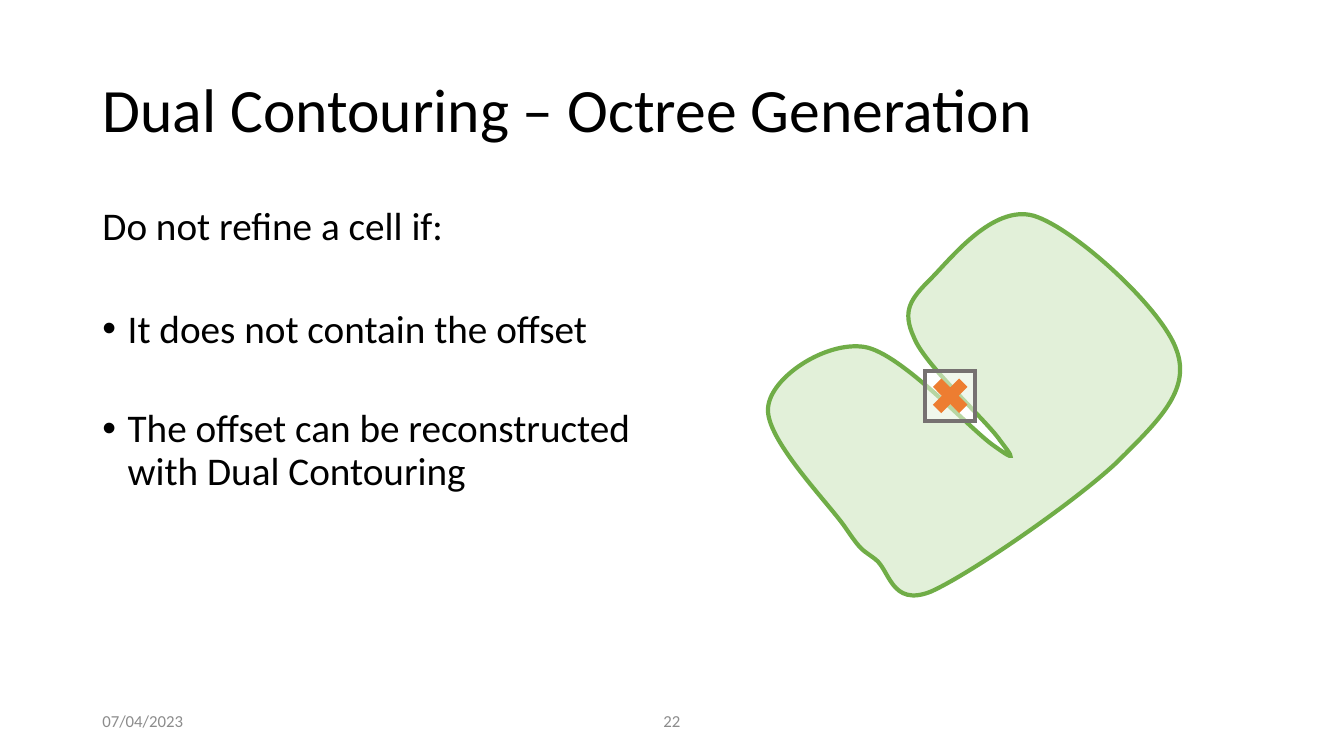
import math

import pptx
import pptx.util
import pptx.dml.color
import pptx.enum.text
import pptx.enum.shapes
import pptx.oxml.ns
import lxml.etree

PX = 9525
Pt = pptx.util.Pt
TEXT = pptx.enum.text
SHAPE = pptx.enum.shapes.MSO_SHAPE
COLORS = {"ink": "000000", "muted": "8C8C8C", "leaf": "70AD47", "pale": "E2F0D9",
          "white": "FFFFFF", "gray": "767171", "mark": "ED7D31"}
TURN = 322.2
START = (-130, 123)
CURVES = [
    ((-147, 99), (-206, 39), (-203, 10)),
    ((-201, -19), (-148, -54), (-111, -48)),
    ((-76, -42), (-10, 31), (12, 46)),
    ((33, 61), (31, 58), (18, 41)),
    ((6, 23), (-54, -31), (-64, -57)),
    ((-76, -83), (-67, -94), (-48, -113)),
    ((-29, -132), (11, -184), (50, -173)),
    ((89, -161), (173, -84), (186, -45)),
    ((200, -7), (169, 22), (130, 61)),
    ((90, 99), (-10, 168), (-48, 185)),
    ((-86, 200), (-87, 164), (-101, 154)),
    ((-114, 144), (-113, 148), START),
]


def color(name):
    """Return the named colour."""
    return pptx.dml.color.RGBColor.from_string(COLORS[name])


def apply(item, values):
    """Set each attribute in values on item."""
    for name, value in values.items():
        setattr(item, name, value)


def place(shape, box):
    """Move shape to a box given in px."""
    names = ("left", "top", "width", "height")
    apply(shape, {name: size * PX for name, size in zip(names, box)})


def add(parent, tag, **values):
    """Append a drawing element to parent."""
    node = lxml.etree.SubElement(parent, pptx.oxml.ns.qn(tag))
    for name, value in values.items():
        node.set(name, str(value))
    return node


def write(shape, lines, size, tint="ink", anchor="MIDDLE", **form):
    """Fill the frame of shape with one paragraph per line."""
    frame = shape.text_frame
    apply(frame, {"word_wrap": True, "auto_size": TEXT.MSO_AUTO_SIZE.NONE,
                  "vertical_anchor": getattr(TEXT.MSO_ANCHOR, anchor)})
    frame.text = "\n".join(lines)
    for para in frame.paragraphs:
        apply(para, {"alignment": TEXT.PP_ALIGN.LEFT, "space_before": Pt(0), **form})
        for run in para.runs:
            apply(run.font, {"name": "Calibri", "size": Pt(size)})
            run.font.color.rgb = color(tint)
    return frame.paragraphs


def paint(shape, fill, edge=None, alpha=None):
    """Give shape its fill and outline."""
    shape.shadow.inherit = False
    shape.fill.solid()
    shape.fill.fore_color.rgb = color(fill)
    if alpha:
        tint = shape.fill._xPr.find(".//" + pptx.oxml.ns.qn("a:srgbClr"))
        add(tint, "a:alpha", val=alpha * 1000)
    if edge:
        shape.line.color.rgb = color(edge)
        shape.line.width = Pt(3)
        add(shape.line._ln, "a:miter", lim=800000)
    else:
        shape.line.fill.background()


def head(slide, box):
    """Write the slide title."""
    place(slide.shapes.title, box)
    write(slide.shapes.title, ["Dual Contouring – Octree Generation"], 44, line_spacing=0.9)


def rules(slide, box):
    """Write the lead line and its bullet list."""
    body = slide.placeholders[1]
    place(body, box)
    lines = ["Do not refine a cell if:", "It does not contain the offset",
             "The offset can be reconstructed with Dual Contouring"]
    paras = write(body, lines, 28, anchor="TOP", line_spacing=0.9)
    for para, gap in zip(paras, (0, 43, 41)):
        props = para._p.get_or_add_pPr()
        dent = 24 * PX if gap else 0
        props.set("marL", str(dent))
        props.set("indent", str(-dent))
        para.space_before = Pt(gap)
        if gap:
            add(props, "a:buFont", typeface="Arial")
            add(props, "a:buChar", char="•")
        else:
            add(props, "a:buNone")


def spin(point, box):
    """Return a point of the upright figure in the turned frame."""
    x, y = point
    angle = math.radians(-TURN)
    across = x * math.cos(angle) - y * math.sin(angle)
    down = x * math.sin(angle) + y * math.cos(angle)
    return round((across + box[2] / 2) * PX), round((down + box[3] / 2) * PX)


def region(slide, box):
    """Draw the curved offset region."""
    ends = [spin(curve[-1], box) for curve in CURVES]
    pen = slide.shapes.build_freeform(*spin(START, box), scale=1.0)
    pen.add_line_segments(ends, close=True)
    shape = pen.convert_to_shape()
    place(shape, box)
    shape.rotation = TURN
    trail = shape._element.find(".//" + pptx.oxml.ns.qn("a:path"))
    for node in list(trail):
        trail.remove(node)
    trail.set("w", str(box[2] * PX))
    trail.set("h", str(box[3] * PX))
    steps = [("a:moveTo", [START])] + [("a:cubicBezTo", curve) for curve in CURVES]
    for tag, points in steps:
        node = add(trail, tag)
        for point in points:
            x, y = spin(point, box)
            add(node, "a:pt", x=x, y=y)
    add(trail, "a:close")
    paint(shape, "pale", "leaf")


def figure(slide, box):
    """Draw the offset region with one marked cell."""
    region(slide, box)
    left, top = box[:2]
    cell = [side * PX for side in (left + 126, top + 104, 48, 48)]
    paint(slide.shapes.add_shape(SHAPE.RECTANGLE, *cell), "white", "gray", 50)
    paint(slide.shapes.add_shape(SHAPE.MATH_MULTIPLY, *cell), "mark")


def foot(slide, box):
    """Write the date and the slide number."""
    left, top, width, height = box
    parts = [("07/04/2023", left, 288, "LEFT"), ("22", left + 336, width - 672, "CENTER")]
    for text, x, wide, side in parts:
        label = slide.shapes.add_textbox(*(n * PX for n in (x, top, wide, height)))
        write(label, [text], 12, "muted", alignment=getattr(TEXT.PP_ALIGN, side))


def main():
    """Build the slide and save it."""
    deck = pptx.Presentation()
    apply(deck, {"slide_width": 1280 * PX, "slide_height": 720 * PX})
    slide = deck.slides.add_slide(deck.slide_layouts[1])
    head(slide, (88, 38, 1104, 139))
    rules(slide, (88, 192, 544, 457))
    figure(slide, (755, 249, 359, 259))
    foot(slide, (88, 667, 1104, 38))
    deck.save("out.pptx")


if __name__ == "__main__":
    main()
